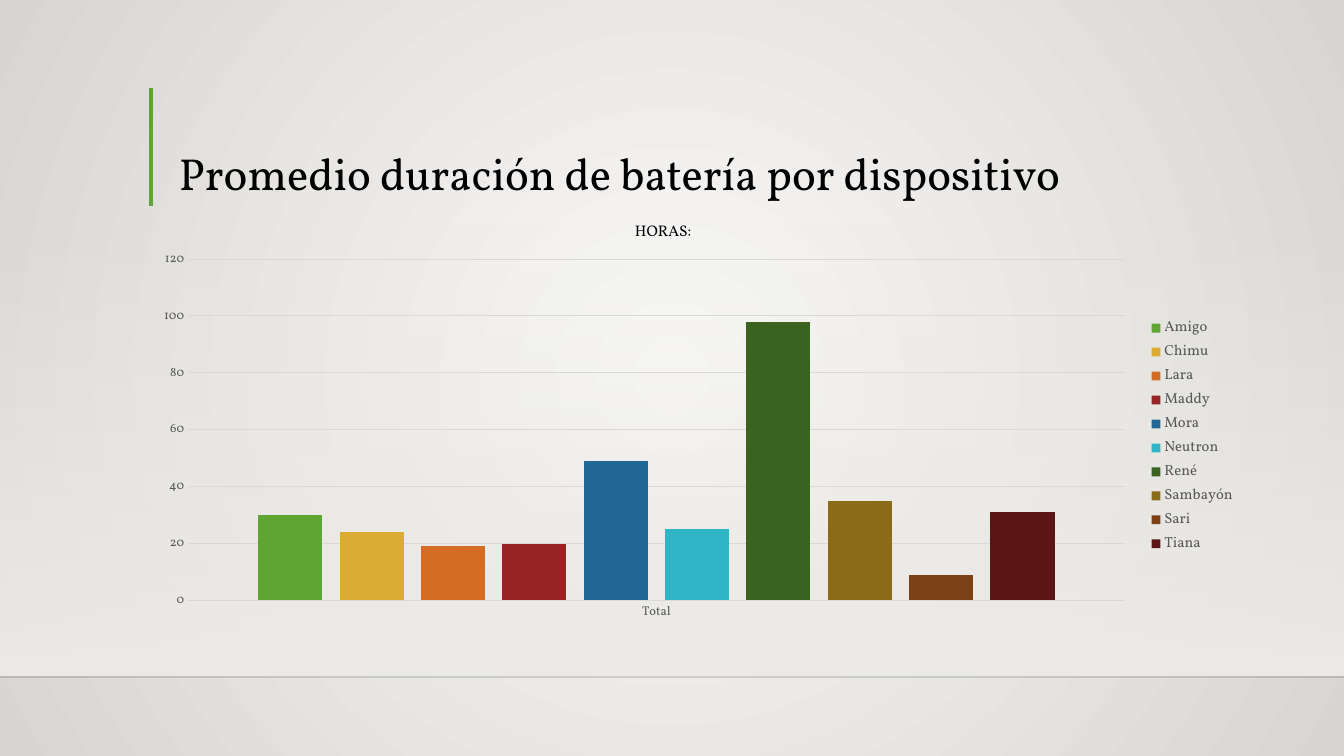
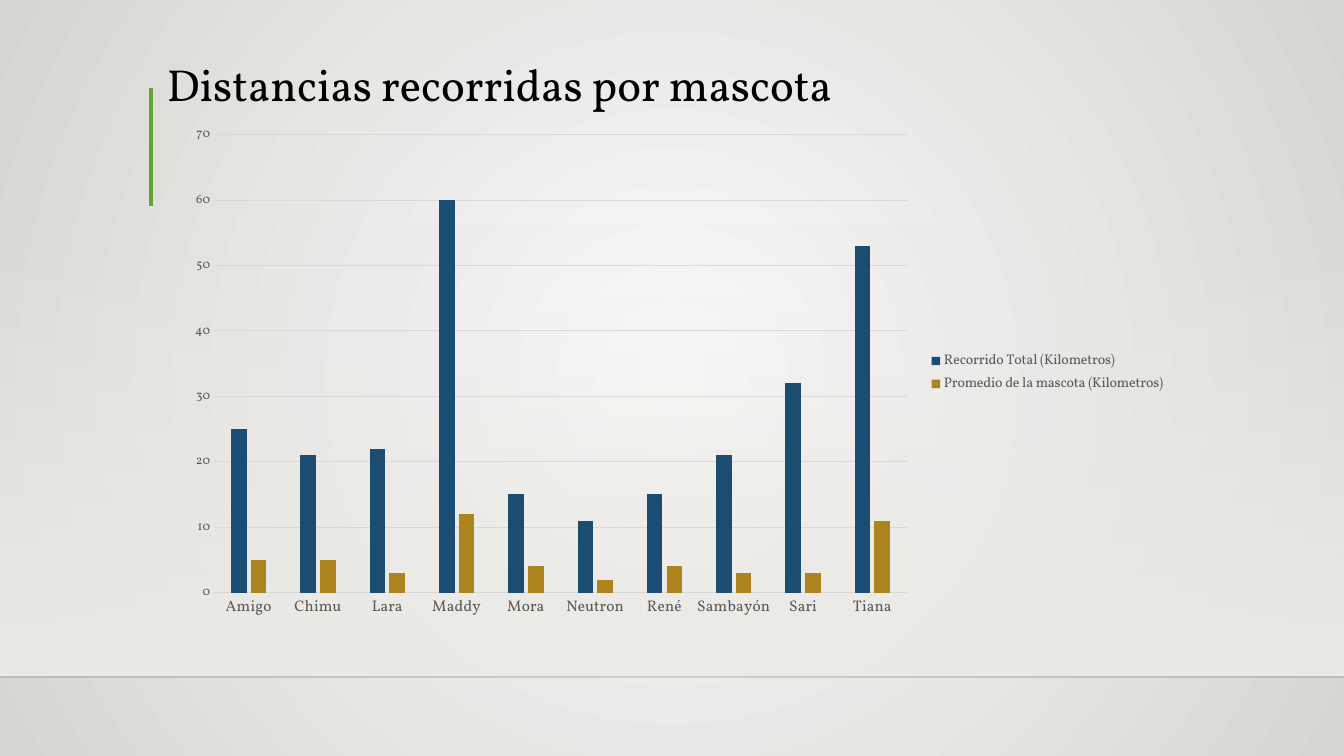
from dataclasses import dataclass

from lxml import etree
from pptx import Presentation
from pptx import util as u
from pptx.chart import data
from pptx.dml import color
from pptx.enum import chart as kinds
from pptx.enum import shapes, text
from pptx.oxml import ns


@dataclass(frozen=True)
class Theme:
    font: str = "Vollkorn"
    ink: str = "000000"
    label: str = "595959"
    grid: str = "D9D9D9"
    accent: str = "5FA534"
    band: str = "EDEBE7"
    floor: str = "000001"
    center: str = "FAFAF9"
    edge: str = "D7D5D2"
    title_size: float = 32
    caption_size: float = 11
    chart_size: float = 10
    axis_size: float = 9


theme = Theme()
WIDTH, HEIGHT = 1344, 756
SCALE = u.Inches(1) / 100.8
FLOOR = 677


def px(*lengths):
    return [u.Emu(round(length * SCALE)) for length in lengths]


def style(font, size, shade):
    font.name = theme.font
    font.size = u.Pt(size)
    font.bold = False
    font.color.rgb = color.RGBColor.from_string(shade)


pets = ["Amigo", "Chimu", "Lara", "Maddy", "Mora", "Neutron", "René", "Sambayón", "Sari", "Tiana"]
battery_hours = [30, 24, 19, 20, 49, 25, 98, 35, 9, 31]
battery_colors = ["5FA534", "DCAB34", "D26D23", "972323", "236797",
                  "2FB6C6", "39631F", "8B6A18", "7E4115", "5B1515"]
pages = [
    dict(
        texts=[
            ("Promedio duración de batería por dispositivo", (169, 89, 1049, 116), theme.title_size),
            ("HORAS:", (625, 216, 94, 28), theme.caption_size),
        ],
        box=(142, 243, 1104, 386),
        categories=["Total"],
        series=[(pet, [hours], shade) for pet, hours, shade in zip(pets, battery_hours, battery_colors)],
        top=120, step=20, category_size=9, legend_size=10.5,
    ),
    dict(
        texts=[("Distancias recorridas por mascota", (157, 0, 1049, 116), theme.title_size)],
        box=(175, 116, 1001, 513),
        categories=pets,
        series=[
            ("Recorrido Total (Kilometros)", [25, 21, 22, 60, 15, 11, 15, 21, 32, 53], "1A4D71"),
            ("Promedio de la mascota (Kilometros)", [5, 5, 3, 12, 4, 2, 4, 3, 3, 11], "AE841E"),
        ],
        top=70, step=10, category_size=11, legend_size=10,
    ),
]

presentation = Presentation()
presentation.slide_width, presentation.slide_height = px(WIDTH, HEIGHT)

master = presentation.slide_master
background = master.background.fill
background.gradient()
for stop, shade in zip(background.gradient_stops, (theme.center, theme.edge)):
    stop.color.rgb = color.RGBColor.from_string(shade)
linear = master.element.find(".//" + ns.qn("p:bg")).find(".//" + ns.qn("a:lin"))
radial = etree.Element(ns.qn("a:path"), path="circle")
etree.SubElement(radial, ns.qn("a:fillToRect"), l="50000", t="50000", r="50000", b="50000")
linear.getparent().replace(linear, radial)

for page in pages:
    slide = presentation.slides.add_slide(presentation.slide_layouts[6])

    band = slide.shapes.add_shape(shapes.MSO_SHAPE.RECTANGLE, *px(0, 222, WIDTH, 454))
    band.shadow.inherit = False
    band.line.fill.background()
    band.fill.gradient()
    band.fill.gradient_angle = 270
    for stop in band.fill.gradient_stops:
        stop.color.rgb = color.RGBColor.from_string(theme.band)
    clear = band.element.spPr.find(".//" + ns.qn("a:srgbClr"))
    etree.SubElement(clear, ns.qn("a:alpha"), val="0")

    for ends, shade, weight, opacity in [
        ((0, FLOOR, WIDTH, FLOOR), theme.floor, 1, 20),
        ((151, 88, 151, 206), theme.accent, 3, 100),
    ]:
        rule = slide.shapes.add_connector(shapes.MSO_CONNECTOR.STRAIGHT, *px(*ends))
        rule.line.color.rgb = color.RGBColor.from_string(shade)
        rule.line.width = u.Pt(weight)
        properties = rule.element.spPr
        if opacity < 100:
            tint = properties.find(".//" + ns.qn("a:srgbClr"))
            etree.SubElement(tint, ns.qn("a:alpha"), val=str(opacity * 1000))
        etree.SubElement(properties, ns.qn("a:effectLst"))

    chart_data = data.CategoryChartData()
    chart_data.categories = page["categories"]
    for name, values, shade in page["series"]:
        chart_data.add_series(name, values)
    chart = slide.shapes.add_chart(
        kinds.XL_CHART_TYPE.COLUMN_CLUSTERED, *px(*page["box"]), chart_data
    ).chart
    chart.has_title = False
    style(chart.font, theme.chart_size, theme.ink)
    chart.has_legend = True
    chart.legend.position = kinds.XL_LEGEND_POSITION.RIGHT
    chart.legend.include_in_layout = False
    style(chart.legend.font, page["legend_size"], theme.label)

    plot = chart.plots[0]
    plot.gap_width = 219
    plot.overlap = -27
    plot.vary_by_categories = False
    for series, (name, values, shade) in zip(plot.series, page["series"]):
        series.format.fill.solid()
        series.format.fill.fore_color.rgb = color.RGBColor.from_string(shade)

    category_axis, value_axis = chart.category_axis, chart.value_axis
    for axis, size in ((category_axis, page["category_size"]), (value_axis, theme.axis_size)):
        axis.major_tick_mark = axis.minor_tick_mark = kinds.XL_TICK_MARK.NONE
        style(axis.tick_labels.font, size, theme.label)
    value_axis.minimum_scale = 0
    value_axis.maximum_scale = page["top"]
    value_axis.major_unit = page["step"]
    value_axis.format.line.fill.background()
    for line in (category_axis.format.line, value_axis.major_gridlines.format.line):
        line.color.rgb = color.RGBColor.from_string(theme.grid)
        line.width = u.Pt(0.75)

    for wording, box, size in page["texts"]:
        frame = slide.shapes.add_textbox(*px(*box)).text_frame
        frame.word_wrap = True
        frame.text = wording
        paragraph = frame.paragraphs[0]
        style(paragraph.runs[0].font, size, theme.ink)
        if size == theme.title_size:
            frame.vertical_anchor = text.MSO_ANCHOR.BOTTOM
            paragraph.line_spacing = 0.9

presentation.save("out.pptx")
